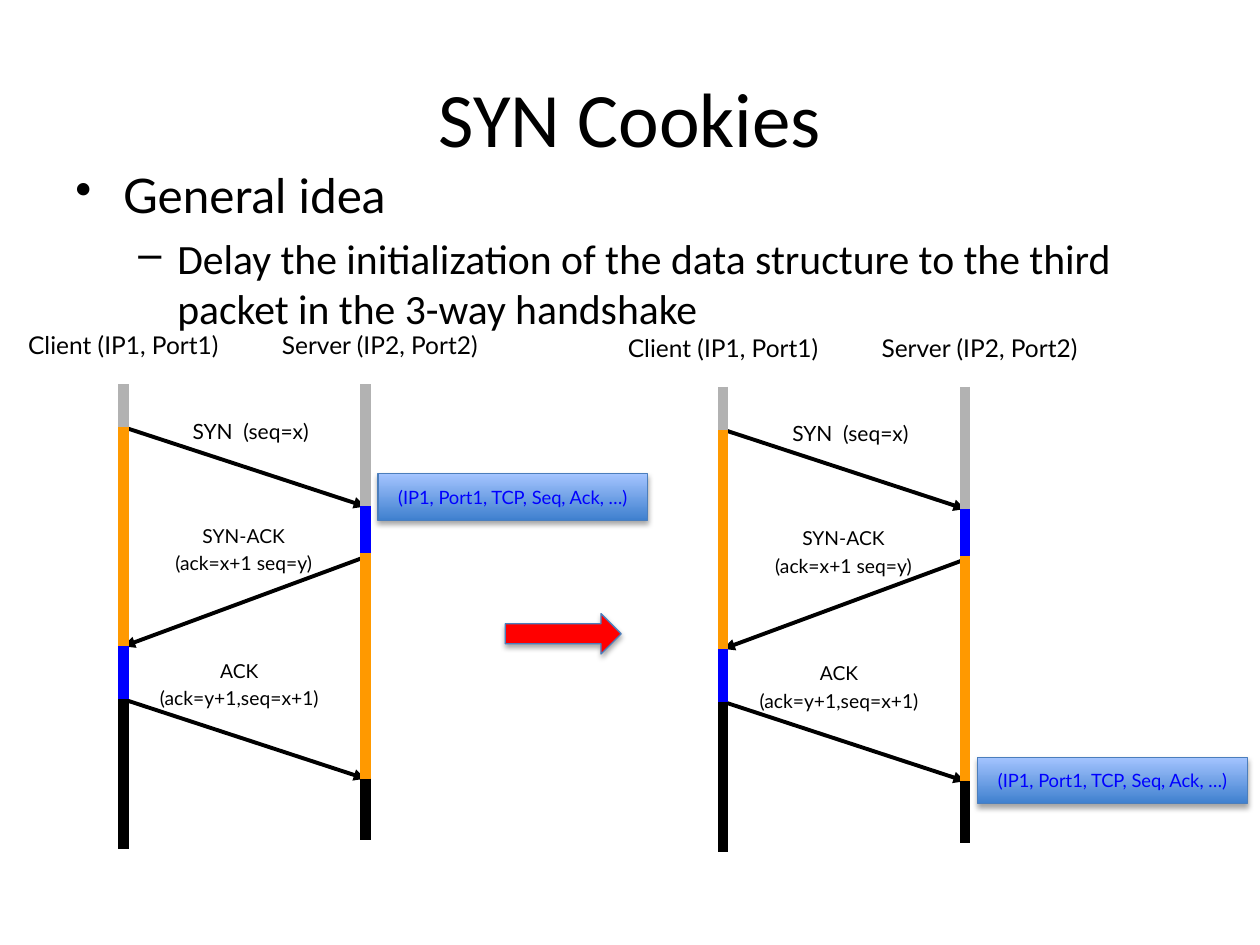
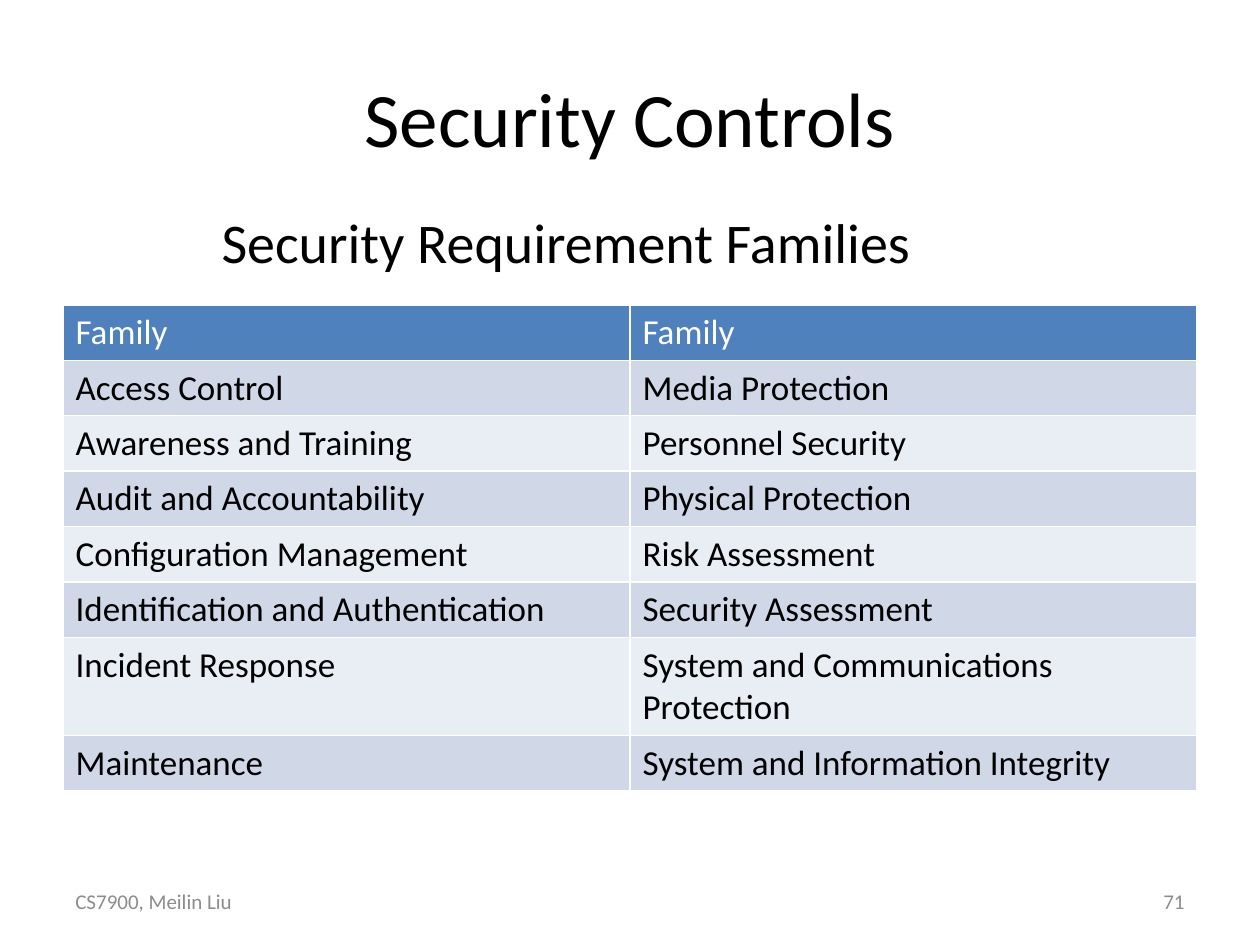
from dataclasses import dataclass

from lxml import etree
from pptx import Presentation
from pptx.dml.color import RGBColor
from pptx.enum.shapes import MSO_CONNECTOR, MSO_SHAPE
from pptx.enum.text import MSO_ANCHOR, MSO_AUTO_SIZE, PP_ALIGN
from pptx.oxml.ns import qn
from pptx.util import Emu, Pt

LEFT, CENTER, RIGHT = PP_ALIGN.LEFT, PP_ALIGN.CENTER, PP_ALIGN.RIGHT
TOP, MIDDLE = MSO_ANCHOR.TOP, MSO_ANCHOR.MIDDLE
NO_AUTOFIT = MSO_AUTO_SIZE.NONE
RECTANGLE, RIGHT_ARROW = MSO_SHAPE.RECTANGLE, MSO_SHAPE.RIGHT_ARROW
STRAIGHT = MSO_CONNECTOR.STRAIGHT

EMU_PER_PX = 9144


@dataclass(frozen=True)
class Theme:
    heading_font: str = "Calibri"
    diagram_font: str = "Lato"
    black: str = "000000"
    white: str = "FFFFFF"
    footer: str = "8C8C8C"
    idle: str = "B2B2B2"
    waiting: str = "FF9900"
    active: str = "0000FF"
    outline: str = "4B7EBC"
    arrow: str = "FF0000"
    record: tuple = ("3F80CE", "A4C4FF")
    header: str = "4F81BD"
    bands: tuple = ("D0D8E8", "E9EDF4")
    title_size: float = 44
    subtitle_size: float = 32
    bullet_size: float = 27.2
    detail_size: float = 23.8
    table_size: float = 20
    host_size: float = 14
    syn_size: float = 12
    packet_size: float = 11
    record_size: float = 10.5
    footer_size: float = 12


def px(length):
    return Emu(length * EMU_PER_PX)


def write(paragraph, text, *, size, font, color, align=LEFT, space_before=0,
          bullet=None, margin=0, hanging=0):
    paragraph.alignment = align
    paragraph.space_before = Pt(space_before)
    if bullet:
        properties = paragraph._p.get_or_add_pPr()
        properties.set("marL", str(px(margin)))
        properties.set("indent", str(px(-hanging)))
        etree.SubElement(properties, qn("a:buChar")).set("char", bullet)
    run = paragraph.add_run()
    run.text = text
    run.font.size = Pt(size)
    run.font.name = font
    run.font.bold = False
    run.font.color.rgb = RGBColor.from_string(color)


class Deck:
    def __init__(self, theme):
        self.theme = theme
        self.presentation = Presentation()
        self.presentation.slide_width = px(1000)
        self.presentation.slide_height = px(750)
        self.slide = None

    def add_slide(self, title):
        layout = self.presentation.slide_layouts.get_by_name("Title Only")
        self.slide = self.presentation.slides.add_slide(layout)
        shape = self.slide.shapes.title
        shape.left, shape.top, shape.width, shape.height = map(px, (50, 30, 900, 125))
        frame = shape.text_frame
        frame.auto_size = NO_AUTOFIT
        frame.vertical_anchor = MIDDLE
        write(frame.paragraphs[0], title, size=self.theme.title_size,
              font=self.theme.heading_font, color=self.theme.black, align=CENTER)

    def text(self, box, lines, *, wrap=False, anchor=TOP, space_before=0, **style):
        frame = self.slide.shapes.add_textbox(*map(px, box)).text_frame
        frame.word_wrap = wrap
        frame.vertical_anchor = anchor
        for index, line in enumerate(lines):
            paragraph = frame.add_paragraph() if index else frame.paragraphs[0]
            write(paragraph, line, space_before=space_before if index else 0, **style)

    def bullets(self, box, items):
        frame = self.slide.shapes.add_textbox(*map(px, box)).text_frame
        frame.word_wrap = True
        for index, (line, style) in enumerate(items):
            paragraph = frame.add_paragraph() if index else frame.paragraphs[0]
            paragraph.level = index
            write(paragraph, line, color=self.theme.black, **style)

    def line(self, start, end, color, width, arrowhead=False):
        connector = self.slide.shapes.add_connector(STRAIGHT, *map(px, start + end))
        connector.line.color.rgb = RGBColor.from_string(color)
        connector.line.width = Pt(width)
        if arrowhead:
            outline = connector.line._get_or_add_ln()
            etree.SubElement(outline, qn("a:tailEnd")).set("type", "triangle")
        etree.SubElement(connector._element.spPr, qn("a:effectLst"))

    def shadowed_shape(self, kind, box):
        shape = self.slide.shapes.add_shape(kind, *map(px, box))
        shape.line.color.rgb = RGBColor.from_string(self.theme.outline)
        shape.line.width = Pt(0.75)
        shape.shadow.inherit = False
        effects = shape._element.spPr.find(qn("a:effectLst"))
        shadow = etree.SubElement(effects, qn("a:outerShdw"), blurRad="40000",
                                  dist="23000", dir="5400000", rotWithShape="0")
        color = etree.SubElement(shadow, qn("a:srgbClr"), val=self.theme.black)
        etree.SubElement(color, qn("a:alpha"), val="35000")
        return shape

    def block_arrow(self, box):
        shape = self.shadowed_shape(RIGHT_ARROW, box)
        shape.fill.solid()
        shape.fill.fore_color.rgb = RGBColor.from_string(self.theme.arrow)

    def record(self, left, top):
        shape = self.shadowed_shape(RECTANGLE, (left, top, 214, 37))
        shape.fill.gradient()
        shape.fill.gradient_angle = 90
        for stop, color in zip(shape.fill.gradient_stops, self.theme.record):
            stop.color.rgb = RGBColor.from_string(color)
        shape.text_frame.word_wrap = True
        shape.text_frame.vertical_anchor = MIDDLE
        write(shape.text_frame.paragraphs[0], "(IP1, Port1, TCP, Seq, Ack, …)",
              size=self.theme.record_size, font=self.theme.diagram_font,
              color=self.theme.active, align=CENTER)

    def handshake(self, left, top):
        theme = self.theme
        labels = (
            ((10, 257, 176, 34), ["Client (IP1, Port1)"], theme.host_size),
            ((210, 257, 183, 34), ["Server (IP2, Port2)"], theme.host_size),
            ((139, 327, 120, 30), ["SYN  (seq=x)"], theme.syn_size),
            ((123, 411, 141, 51), ["SYN-ACK", "(ack=x+1 seq=y)"], theme.packet_size),
            ((110, 518, 160, 51), ["ACK", "(ack=y+1,seq=x+1)"], theme.packet_size),
        )
        for (x, y, width, height), lines, size in labels:
            self.text((left + x, top + y, width, height), lines, size=size,
                      font=theme.diagram_font, color=theme.black, align=CENTER,
                      space_before=2.6)

        client, server = left + 98, left + 290
        packets = ((client, 339, server, 402), (server, 442, client, 513),
                   (client, 555, server, 618))
        for start_x, start_y, end_x, end_y in packets:
            self.line((start_x, top + start_y), (end_x, top + end_y),
                      theme.black, 2.25, arrowhead=True)

        timelines = (
            (client, (305, 339, 513, 555, 674),
             (theme.idle, theme.waiting, theme.active, theme.black)),
            (server, (305, 402, 439, 618, 667),
             (theme.idle, theme.active, theme.waiting, theme.black)),
        )
        for x, times, colors in timelines:
            for start, end, color in zip(times, times[1:], colors):
                self.line((x, top + start), (x, top + end), color, 6)

    def table(self, left, top, column_width, row_heights, rows):
        theme = self.theme
        columns = len(rows[0])
        frame = self.slide.shapes.add_table(
            len(rows), columns, px(left), px(top),
            px(column_width * columns), px(sum(row_heights)))
        table = frame.table
        for column in table.columns:
            column.width = px(column_width)
        for index, (values, height) in enumerate(zip(rows, row_heights)):
            table.rows[index].height = px(height)
            fill = theme.bands[(index - 1) % 2] if index else theme.header
            color = theme.black if index else theme.white
            for cell, value in zip(table.rows[index].cells, values):
                self.cell_borders(cell)
                cell.fill.solid()
                cell.fill.fore_color.rgb = RGBColor.from_string(fill)
                write(cell.text_frame.paragraphs[0], value, size=theme.table_size,
                      font=theme.heading_font, color=color)

    def cell_borders(self, cell):
        properties = cell._tc.get_or_add_tcPr()
        for side in ("lnL", "lnR", "lnT", "lnB"):
            border = etree.SubElement(properties, qn(f"a:{side}"), w=str(Pt(1)))
            fill = etree.SubElement(border, qn("a:solidFill"))
            etree.SubElement(fill, qn("a:srgbClr"), val=self.theme.white)

    def footer(self, course, number):
        for left, text, align in ((50, course, LEFT), (717, number, RIGHT)):
            self.text((left, 695, 233, 40), [text], wrap=True, anchor=MIDDLE,
                      size=self.theme.footer_size, font=self.theme.heading_font,
                      color=self.theme.footer, align=align)


def build_syn_cookies(deck):
    theme = deck.theme
    deck.add_slide("SYN Cookies")
    deck.bullets((50, 127, 900, 123), (
        ("General idea",
         dict(size=theme.bullet_size, font=theme.diagram_font, bullet="•",
              margin=38, hanging=38)),
        ("Delay the initialization of the data structure to the third packet "
         "in the 3-way handshake",
         dict(size=theme.detail_size, font=theme.heading_font, bullet="–",
              margin=81, hanging=31, space_before=5.7)),
    ))
    for left, top, record_top in ((0, 0, 376), (476, 2, 601)):
        deck.handshake(left, top)
        deck.record(left + 300, record_top)
    deck.block_arrow((401, 487, 92, 32))


def build_security_controls(deck):
    theme = deck.theme
    deck.add_slide("Security Controls")
    deck.footer("CS7900, Meilin Liu", "71")
    families = (
        ("Family", "Family"),
        ("Access Control", "Media Protection"),
        ("Awareness and Training", "Personnel Security"),
        ("Audit and Accountability", "Physical Protection"),
        ("Configuration Management", "Risk Assessment"),
        ("Identification and Authentication", "Security Assessment"),
        ("Incident Response", "System and Communications Protection"),
        ("Maintenance", "System and Information Integrity"),
    )
    deck.table(50, 242, 450, [44] * 6 + [78, 44], families)
    deck.text((166, 160, 579, 64), ["Security Requirement Families"],
              size=theme.subtitle_size, font=theme.heading_font, color=theme.black)


def main():
    deck = Deck(Theme())
    build_syn_cookies(deck)
    build_security_controls(deck)
    deck.presentation.save("out.pptx")


if __name__ == "__main__":
    main()
